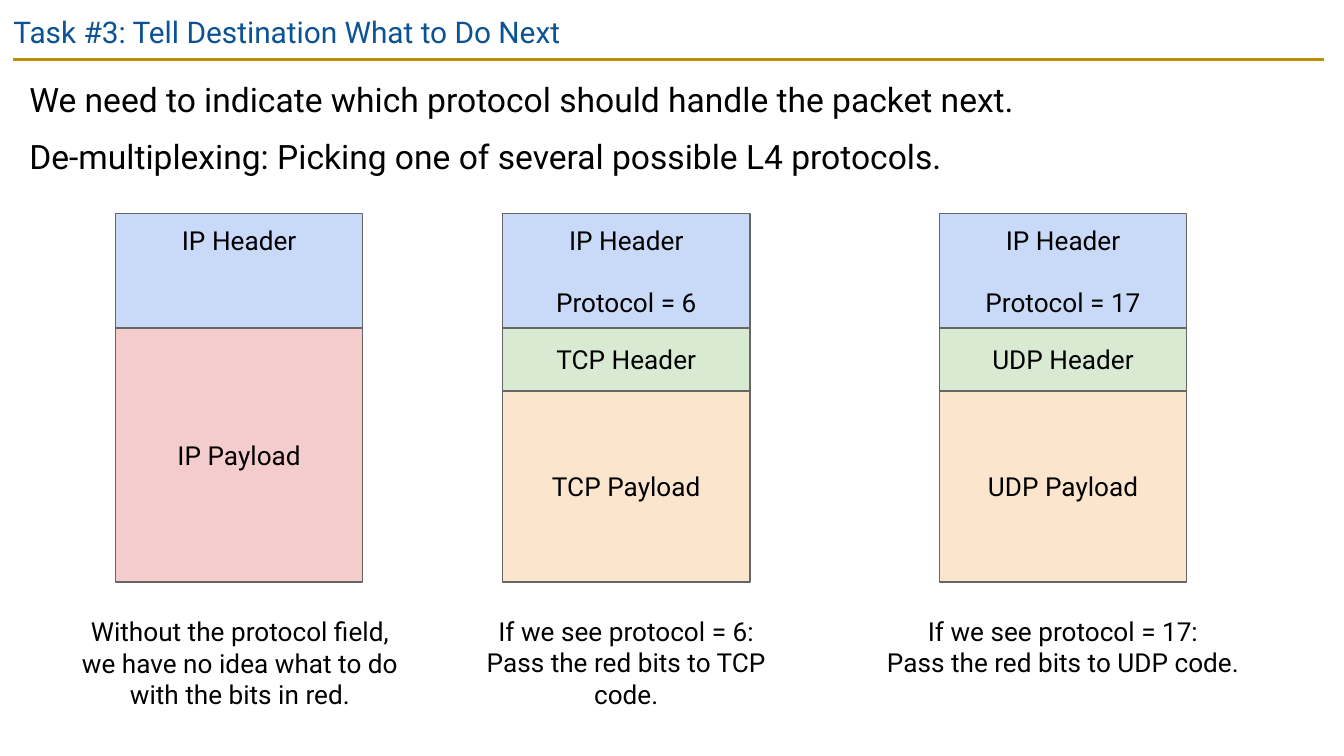
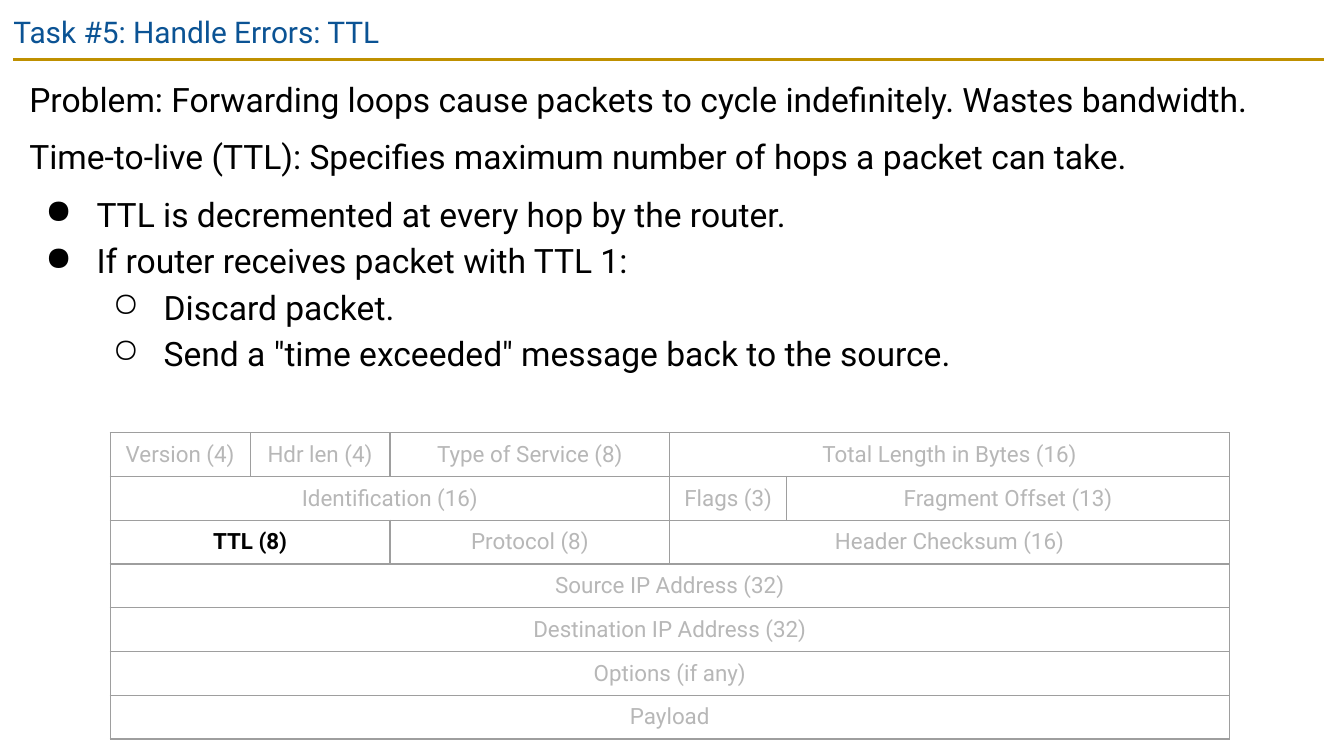
from pptx import Presentation
from pptx.dml.color import RGBColor as RGB
from pptx.enum.shapes import MSO_CONNECTOR as Wire, MSO_SHAPE as Form
from pptx.enum.text import MSO_ANCHOR as Anchor, MSO_AUTO_SIZE as Fit, PP_ALIGN as Align
from pptx.oxml.ns import qn
from pptx.util import Inches, Pt
from lxml.etree import SubElement as Sub

COLS = 100
INK, GRAY = "000000", "B7B7B7"
BLUE, PINK, GREEN, PEACH = "C9DAF8", "F4CCCC", "D9EAD3", "FCE5CD"
HEAD = {"size": Pt(16), "name": "Roboto"}
BODY = {"size": Pt(18), "name": "Roboto"}
NOTE = {"size": Pt(14), "name": "Roboto"}
CELL = {"size": Pt(12), "name": "Roboto", "bold": False}
BOLD = {**CELL, "bold": True}
SIDES = "margin_left", "margin_top", "margin_right", "margin_bottom"


def hue(code):
    return RGB.from_string(code)


def put(item, vals):
    for key, val in vals.items():
        setattr(item, key, val)


class Deck:
    def __init__(self):
        self.show = Presentation()
        wide = Inches(10)
        put(self.show, {"slide_width": wide, "slide_height": wide * 9 // 16})
        self.unit = wide / COLS
        self.slide = None

    def at(self, *nums):
        return [round(num * self.unit) for num in nums]

    def page(self, title):
        self.slide = self.show.slides.add_slide(self.show.slide_layouts[5])
        head = self.slide.shapes.title
        put(head, dict(zip(("left", "top", "width", "height"), self.at(0, 0, 93.2, 4.3))))
        self.lay(head.text_frame, [title], HEAD, "0B5394", Align.LEFT)
        self.rule(1, 4.4, 98.5)

    def rule(self, left, top, right):
        line = self.slide.shapes.add_connector(Wire.STRAIGHT, *self.at(left, top, right, top))
        line.line.color.rgb = hue("BF9000")
        line.line.width = Pt(1.5)
        Sub(line._element.spPr, qn("a:effectLst"))

    def lay(self, frame, lines, look, tint=INK, side=Align.CENTER, gap=0, anchor=Anchor.TOP):
        put(frame, {"word_wrap": True, "auto_size": Fit.NONE, "vertical_anchor": anchor})
        put(frame, dict.fromkeys(SIDES, Inches(0.1)))
        for num, text in enumerate(lines):
            para = frame.paragraphs[0] if num == 0 else frame.add_paragraph()
            self.fill(para, text, look, tint, side)
            para.space_before = Pt(gap if num else 0)

    def fill(self, para, text, look, tint, side):
        para.alignment = side
        run = para.add_run()
        run.text = text
        put(run.font, look)
        run.font.color.rgb = hue(tint)

    def text(self, box, lines, look=NOTE, side=Align.CENTER, gap=0):
        frame = self.slide.shapes.add_textbox(*self.at(*box)).text_frame
        self.lay(frame, lines, look, side=side, gap=gap)
        return frame

    def body(self, box, lines, marks=()):
        frame = self.text(box, lines, BODY, Align.LEFT, 6)
        for para in frame.paragraphs:
            para.line_spacing = 1.15
        first = len(lines) - len(marks)
        for num, level in enumerate(marks):
            para = frame.paragraphs[first + num]
            self.mark(para, level)
            para.space_before = Pt(0 if num else 6)

    def mark(self, para, level):
        para.level = level
        prop = para._p.get_or_add_pPr()
        prop.set("marL", str(Inches(0.5 * (level + 1))))
        prop.set("indent", str(Inches(-0.38)))
        Sub(Sub(prop, qn("a:buClr")), qn("a:srgbClr"), val=INK)
        Sub(prop, qn("a:buChar"), char="●○"[level])

    def block(self, box, lines, tint, anchor=Anchor.MIDDLE, gap=0):
        shape = self.slide.shapes.add_shape(Form.RECTANGLE, *self.at(*box))
        shape.shadow.inherit = False
        shape.fill.solid()
        shape.fill.fore_color.rgb = hue(tint)
        shape.line.color.rgb = hue("666666")
        shape.line.width = Pt(0.75)
        self.lay(shape.text_frame, lines, NOTE, gap=gap, anchor=anchor)
        return shape.text_frame

    def stack(self, left, head, parts):
        frame = self.block((left, 15.9, 18.4, 8.5), head, BLUE, Anchor.TOP, 16.4)
        frame.margin_top = Inches(0.08)
        top = 24.4
        for text, tall, tint in parts:
            self.block((left, top, 18.4, tall), [text], tint)
            top += tall

    def table(self, box, cols, rows, bold):
        grid = self.slide.shapes.add_table(len(rows), len(cols), *self.at(*box)).table
        put(grid, {"first_row": False, "horz_banding": False})
        for col, wide in zip(grid.columns, cols):
            col.width = self.at(wide)[0]
        for row, items in enumerate(rows):
            col = 0
            for text, span in items:
                cell = grid.cell(row, col)
                if span > 1:
                    cell.merge(grid.cell(row, col + span - 1))
                look, tint = (BOLD, INK) if text == bold else (CELL, GRAY)
                self.fill(cell.text_frame.paragraphs[0], text, look, tint, Align.CENTER)
                col += span
            for cell in grid.rows[row].cells:
                self.edge(cell)

    def edge(self, cell):
        put(cell, {"vertical_anchor": Anchor.MIDDLE, **dict.fromkeys(SIDES, Inches(0.03))})
        prop = cell._tc.get_or_add_tcPr()
        for side in ("lnL", "lnR", "lnT", "lnB"):
            line = Sub(prop, qn("a:" + side), w=str(Pt(0.75)))
            Sub(Sub(line, qn("a:solidFill")), qn("a:srgbClr"), val="9E9E9E")
        cell.fill.background()


def demux(deck):
    deck.page("Task #3: Tell Destination What to Do Next")
    deck.body((1.2, 4.4, 75.6, 12.3), [
        "We need to indicate which protocol should handle the packet next.",
        "De-multiplexing: Picking one of several possible L4 protocols.",
    ])
    deck.stack(8.6, ["IP Header"], [("IP Payload", 18.9, PINK)])
    deck.text((4.9, 44.8, 25.9, 9.1), [
        "Without the protocol field, we have no idea what to do with the bits in red."])
    for name, code, left, edge, wide in (("TCP", 6, 37.4, 32.6, 28), ("UDP", 17, 69.9, 64.5, 29.2)):
        deck.stack(left, ["IP Header", f"Protocol = {code}"],
                   [(f"{name} Header", 4.7, GREEN), (f"{name} Payload", 14.2, PEACH)])
        deck.text((edge, 44.8, wide, 6.7), [
            f"If we see protocol = {code}:", f"Pass the red bits to {name} code."])


def expire(deck):
    deck.page("Task #5: Handle Errors: TTL")
    deck.body((1.2, 4.4, 97.4, 25.6), [
        "Problem: Forwarding loops cause packets to cycle indefinitely. Wastes bandwidth.",
        "Time-to-live (TTL): Specifies maximum number of hops a packet can take.",
        "TTL is decremented at every hop by the router.",
        "If router receives packet with TTL 1:",
        "Discard packet.",
        'Send a "time exceeded" message back to the source.',
    ], (0, 0, 1, 1))
    rows = [
        [("Version (4)", 1), ("Hdr len (4)", 1), ("Type of Service (8)", 2),
         ("Total Length in Bytes (16)", 4)],
        [("Identification (16)", 4), ("Flags (3)", 1), ("Fragment Offset (13)", 3)],
        [("TTL (8)", 2), ("Protocol (8)", 2), ("Header Checksum (16)", 4)],
    ]
    rows += [[(text, 8)] for text in (
        "Source IP Address (32)", "Destination IP Address (32)", "Options (if any)", "Payload")]
    unit = 83.3 / 8
    cols = [unit] * 4 + [8.7, 2 * unit - 8.7] + [unit] * 2
    deck.table((8.2, 32.2, 83.3, 22.8), cols, rows, "TTL (8)")


def main():
    deck = Deck()
    demux(deck)
    expire(deck)
    deck.show.save("out.pptx")


if __name__ == "__main__":
    main()
